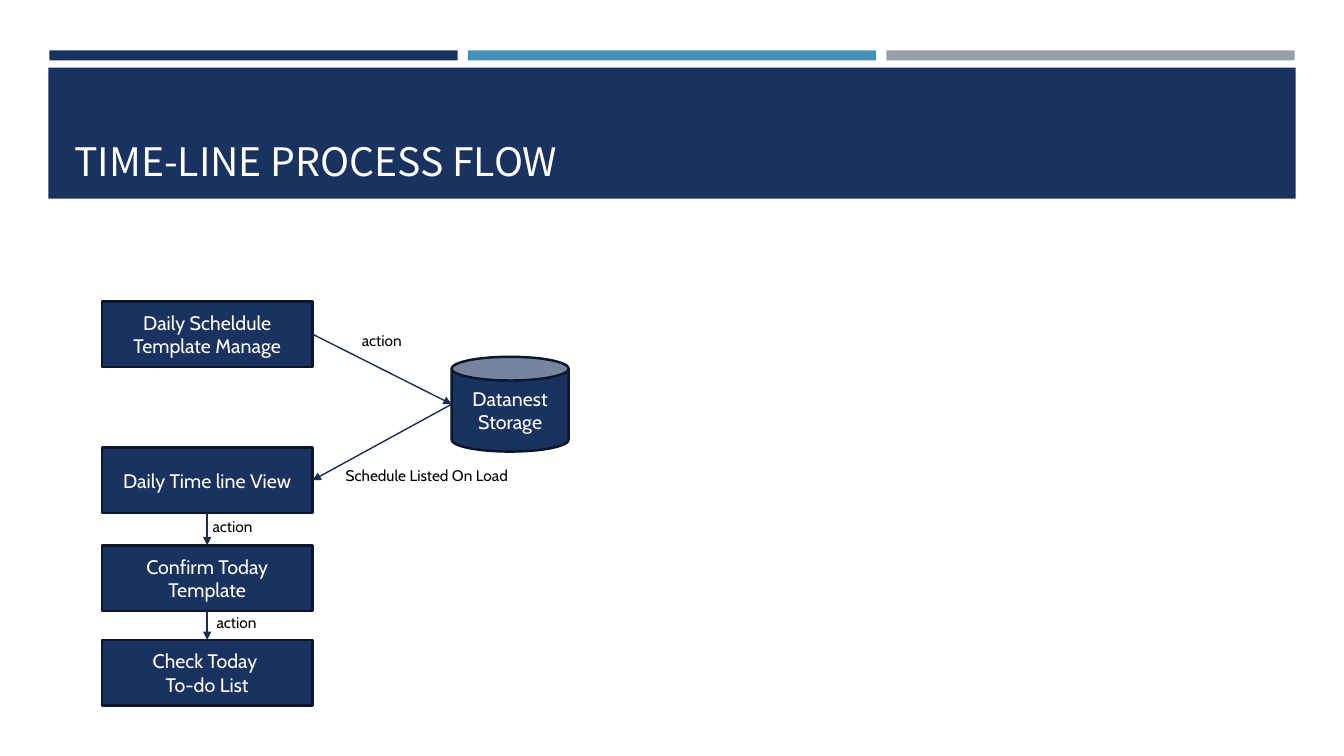
from lxml import etree
from pptx import Presentation
from pptx.dml.color import RGBColor
from pptx.enum.shapes import MSO_CONNECTOR, MSO_SHAPE
from pptx.enum.text import MSO_ANCHOR, MSO_AUTO_SIZE, PP_ALIGN
from pptx.oxml.ns import qn
from pptx.util import Inches, Pt

NAVY, BLUE, GRAY = "1A3260", "4590B8", "969FA7"
OUTLINE, ARROW = "0B162A", "172D56"
WHITE, BLACK = "FFFFFF", "000000"
BODY_FONT, TITLE_FONT = "Cabin", "Noto Sans CJK KR"

BOX_X, BOX_W, BOX_H = 1.01, 2.09, 0.65
STORE_X, STORE_Y, STORE_W, STORE_H = 4.48, 3.54, 1.16, 0.94


def rgb(value):
    return RGBColor.from_string(value)


def write(tf, text, size, color, font=BODY_FONT, align=PP_ALIGN.LEFT, **frame):
    for name, value in frame.items():
        setattr(tf, name, value)
    tf.text = text
    for p in tf.paragraphs:
        p.alignment = align
        for r in p.runs:
            for name, value in {"size": Pt(size), "name": font}.items():
                setattr(r.font, name, value)
            r.font.color.rgb = rgb(color)


def add_block(s, kind, x, y, w, h, fill, line=None):
    sp = s.shapes.add_shape(kind, Inches(x), Inches(y), Inches(w), Inches(h))
    sp.shadow.inherit = False
    sp.fill.solid()
    sp.fill.fore_color.rgb = rgb(fill)
    if line:
        sp.line.color.rgb = rgb(line)
        sp.line.width = Pt(1.75)
    else:
        sp.line.fill.background()
    return sp


def add_node(s, text, kind, x, y, w, h):
    sp = add_block(s, kind, x, y, w, h, NAVY, OUTLINE)
    write(sp.text_frame, text, 14, WHITE, align=PP_ALIGN.CENTER,
          word_wrap=True, vertical_anchor=MSO_ANCHOR.MIDDLE)


def add_label(s, text, x, y, w):
    sp = s.shapes.add_textbox(Inches(x), Inches(y), Inches(w), Inches(0.29))
    write(sp.text_frame, text, 11, BLACK, word_wrap=False,
          auto_size=MSO_AUTO_SIZE.SHAPE_TO_FIT_TEXT)


def add_arrow(s, start, end):
    points = [Inches(v) for v in (*start, *end)]
    sp = s.shapes.add_connector(MSO_CONNECTOR.STRAIGHT, *points)
    sp.line.color.rgb = rgb(ARROW)
    sp.line.width = Pt(1)
    etree.SubElement(sp.line._get_or_add_ln(), qn("a:tailEnd"), type="triangle")
    etree.SubElement(sp._element.spPr, qn("a:effectLst"))


def add_header(s):
    # Three accent bars above the title band
    for i, color in enumerate((NAVY, BLUE, GRAY)):
        add_block(s, MSO_SHAPE.RECTANGLE, 0.49 + i * 4.15, 0.5, 4.05, 0.1, color)
    add_block(s, MSO_SHAPE.RECTANGLE, 0.48, 0.67, 12.37, 1.3, NAVY)

    # Title
    sp = s.shapes.add_textbox(Inches(0.64), Inches(0.77), Inches(12.06), Inches(1.11))
    write(sp.text_frame, "TIME-LINE PROCESS FLOW", 28, WHITE, TITLE_FONT,
          word_wrap=True, vertical_anchor=MSO_ANCHOR.BOTTOM)
    sp.text_frame.paragraphs[0].line_spacing = 0.9


def add_flow(s):
    # Process steps and storage
    steps = {
        "Daily Scheldule Template Manage": 2.99,
        "Daily Time line View": 4.44,
        "Confirm Today Template": 5.41,
        "Check Today \nTo-do List": 6.35,
    }
    for text, y in steps.items():
        add_node(s, text, MSO_SHAPE.RECTANGLE, BOX_X, y, BOX_W, BOX_H)
    add_node(s, "Datanest Storage", MSO_SHAPE.CAN, STORE_X, STORE_Y, STORE_W, STORE_H)

    # Arrows to and from storage, then down the column
    manage, view, confirm, check = steps.values()
    right, center = BOX_X + BOX_W, BOX_X + BOX_W / 2
    store = (STORE_X, STORE_Y + STORE_H / 2)
    add_arrow(s, (right, manage + BOX_H / 2), store)
    add_arrow(s, store, (right, view + BOX_H / 2))
    for upper, lower in ((view, confirm), (confirm, check)):
        add_arrow(s, (center, upper + BOX_H), (center, lower))

    # Arrow labels
    for text, x, y, w in (
        ("action", 3.49, 3.24, 0.6),
        ("Schedule Listed On Load", 3.33, 4.57, 1.91),
        ("action", 2.01, 5.08, 0.6),
        ("action", 2.05, 6.03, 0.6),
    ):
        add_label(s, text, x, y, w)


def main():
    prs = Presentation()
    prs.slide_width, prs.slide_height = Inches(13.33), Inches(7.5)
    s = prs.slides.add_slide(prs.slide_layouts[6])
    add_header(s)
    add_flow(s)
    prs.save("out.pptx")


if __name__ == "__main__":
    main()
